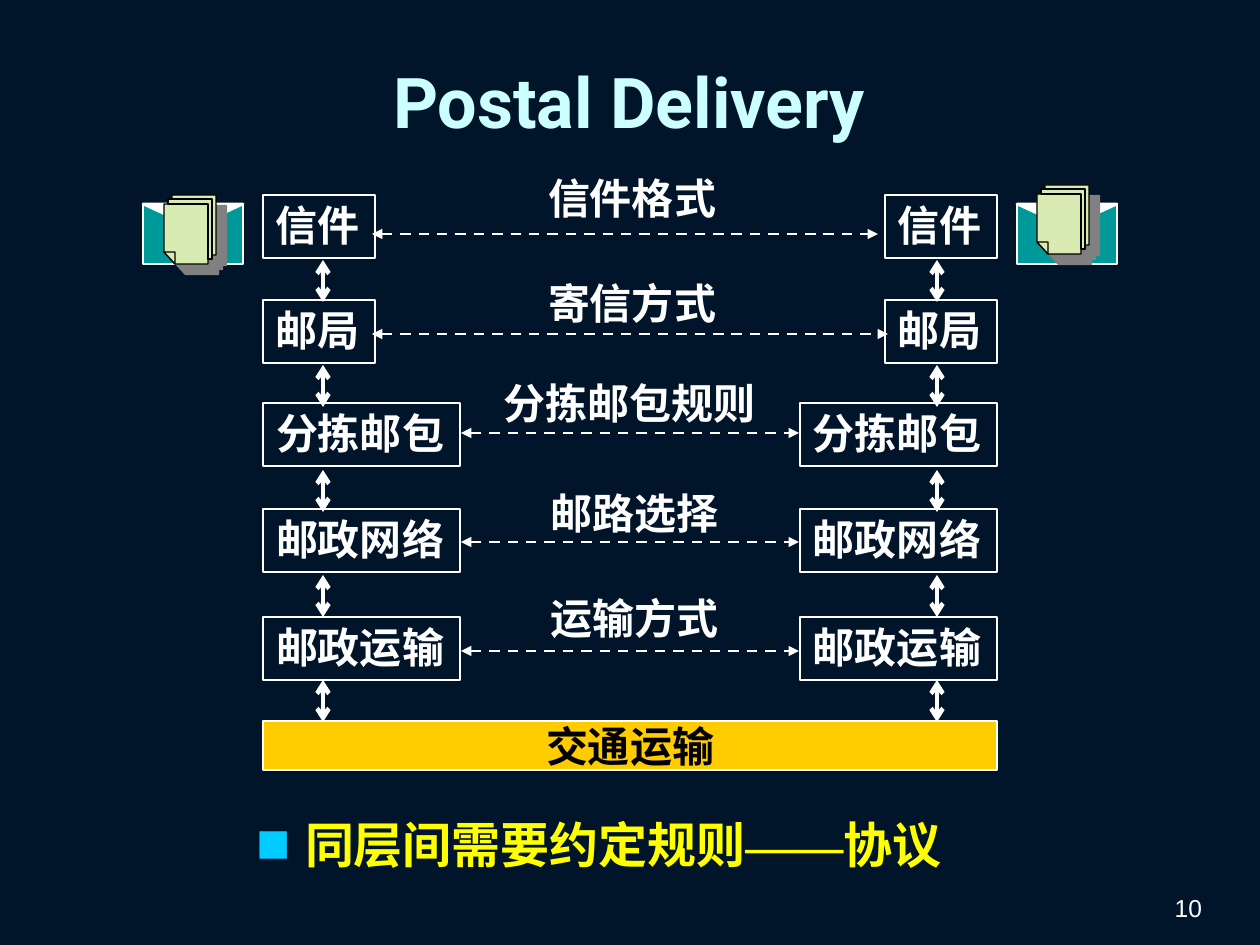
"""Build the Postal Delivery slide: matching layers of two post offices and the rules between them."""
from dataclasses import dataclass

from lxml.etree import SubElement
from pptx import Presentation
from pptx.dml.color import RGBColor
from pptx.enum.dml import MSO_LINE
from pptx.enum.shapes import MSO_CONNECTOR, MSO_SHAPE
from pptx.enum.text import MSO_ANCHOR, MSO_AUTO_SIZE, PP_ALIGN
from pptx.oxml.ns import qn
from pptx.util import Emu, Pt


@dataclass(frozen=True)
class Theme:
    night: str = "00152A"
    white: str = "FFFFFF"
    black: str = "000000"
    ice: str = "CCFFFF"
    gold: str = "FFCC00"
    yellow: str = "FFFF00"
    cyan: str = "00CCFF"
    teal: str = "009999"
    paper: str = "D8EBB3"
    gray: str = "808080"
    serif: str = "Times New Roman"
    cjk: str = "Noto Sans CJK SC"
    title_size: int = 40
    rule_size: int = 28
    label_size: int = 24
    number_size: int = 14


T = Theme()
EMU_PER_PX = 914400 / 126

TITLE = "Postal Delivery"
PAGE_NUMBER = "10"
TRANSPORT = "交通运输"
RULE = [("同层间需要约定规则", T.cjk), ("——", T.serif), ("协议", T.cjk)]
LAYERS = [
    ("信件", 195, "信件格式", (535, 168), 234, (372, 878)),
    ("邮局", 300, "寄信方式", (535, 273), 334, (372, 888)),
    ("分拣邮包", 403, "分拣邮包规则", (491, 373), 433, (461, 799)),
    ("邮政网络", 509, "邮路选择", (538, 483), 542, (461, 799)),
    ("邮政运输", 617, "运输方式", (538, 588), 651, (461, 799)),
]
LEFT_EDGE, RIGHT_EDGE, LAYER_HEIGHT = 263, 997, 63
LINK_COLUMNS, LINK_TOP, LINK_STEP, LINK_LENGTH = (323, 937), 260, 105, 42
LETTERS = [((143, 204), (164, 195)), ((1017, 204), (1037, 185))]
PAGE_STACK = [
    [(0, 57), (0, 9), (4, 9), (4, 4), (8, 4), (8, 0), (52, 0), (52, 60),
     (48, 60), (48, 64), (44, 64), (44, 69), (11, 69)],
    [(8, 4), (48, 4), (48, 64), (44, 64), (44, 9), (4, 9), (4, 4)],
    [(0, 57), (11, 57), (11, 69)],
]


def px(*lengths):
    return [Emu(round(length * EMU_PER_PX)) for length in lengths]


def rgb(color):
    return RGBColor.from_string(color)


def add_run(paragraph, text, size, color, latin=T.serif, asian=T.cjk, bold=True):
    run = paragraph.add_run()
    run.text = text
    font = run.font
    font.name, font.size, font.bold = latin, Pt(size), bold
    font.color.rgb = rgb(color)
    SubElement(font._element, qn("a:ea"), typeface=asian)


def set_frame(frame, anchor=MSO_ANCHOR.TOP, align=PP_ALIGN.LEFT, wrap=False, insets=(13, 5)):
    frame.word_wrap = wrap
    frame.auto_size = MSO_AUTO_SIZE.NONE
    frame.vertical_anchor = anchor
    side, end = px(*insets)
    frame.margin_left = frame.margin_right = side
    frame.margin_top = frame.margin_bottom = end
    paragraph = frame.paragraphs[0]
    paragraph.alignment = align
    return paragraph


def add_text(slide, box, **layout):
    return set_frame(slide.shapes.add_textbox(*px(*box)).text_frame, **layout)


def paint(shape, fill, line, width):
    shape.shadow.inherit = False
    if fill:
        shape.fill.solid()
        shape.fill.fore_color.rgb = rgb(fill)
    else:
        shape.fill.background()
    shape.line.color.rgb = rgb(line)
    shape.line.width = Pt(width)
    return shape


def add_box(slide, box, fill=None, kind=MSO_SHAPE.RECTANGLE):
    return paint(slide.shapes.add_shape(kind, *px(*box)), fill, T.white, 1.5)


def add_arrow(slide, start, end, width, head, dashed=False):
    arrow = slide.shapes.add_connector(MSO_CONNECTOR.STRAIGHT, *px(*start, *end))
    arrow.line.color.rgb = rgb(T.white)
    arrow.line.width = Pt(width)
    if dashed:
        arrow.line.dash_style = MSO_LINE.DASH
    properties = arrow._element.spPr
    line = properties.find(qn("a:ln"))
    for tip in ("a:headEnd", "a:tailEnd"):
        SubElement(line, qn(tip), type=head)
    SubElement(properties, qn("a:effectLst"))


def add_layer(slide, layer):
    name, top, rule, rule_at, arrow_y, (arrow_left, arrow_right) = layer
    width = 112 if len(name) == 2 else 197
    for left in (LEFT_EDGE, RIGHT_EDGE - width):
        box = add_box(slide, (left, top, width, LAYER_HEIGHT))
        add_run(set_frame(box.text_frame), name, T.label_size, T.white)
    label = add_text(slide, (*rule_at, 26 + 42 * len(rule), 60))
    add_run(label, rule, T.label_size, T.white)
    add_arrow(slide, (arrow_left, arrow_y), (arrow_right, arrow_y), 1.5, "triangle", dashed=True)


def add_shadow(shape):
    effects = shape._element.spPr.find(qn("a:effectLst"))
    shadow = SubElement(effects, qn("a:outerShdw"), dist=str(Pt(8.5)), dir="2700000", algn="ctr")
    SubElement(shadow, qn("a:srgbClr"), val=T.gray)


def add_letter(slide, envelope_at, pages_at):
    add_box(slide, (*envelope_at, 100, 60), T.teal)
    flap = add_box(slide, (*envelope_at, 100, 23), T.white, MSO_SHAPE.ISOSCELES_TRIANGLE)
    flap.rotation = 180
    pages = []
    for start, *others in PAGE_STACK:
        outline = slide.shapes.build_freeform(*start, scale=EMU_PER_PX)
        outline.add_line_segments(others, close=True)
        pages.append(paint(outline.convert_to_shape(*px(*pages_at)), T.paper, T.black, 0.75))
    add_shadow(pages[0])


def add_rule(slide):
    paragraph = add_text(slide, (243, 808, 714, 72), insets=(13, 6))
    properties = paragraph._p.get_or_add_pPr()
    indent = px(49)[0]
    properties.set("marL", str(indent))
    properties.set("indent", str(-indent))
    bullet_color = SubElement(properties, qn("a:buClr"))
    SubElement(bullet_color, qn("a:srgbClr"), val=T.cyan)
    SubElement(properties, qn("a:buSzPct"), val="70000")
    SubElement(properties, qn("a:buFont"), typeface=T.cjk)
    SubElement(properties, qn("a:buChar"), char="■")
    for text, face in RULE:
        add_run(paragraph, text, T.rule_size, T.yellow, face, face)


def main():
    deck = Presentation()
    deck.slide_width, deck.slide_height = px(1260, 945)
    slide = deck.slides.add_slide(deck.slide_layouts[6])
    slide.background.fill.solid()
    slide.background.fill.fore_color.rgb = rgb(T.night)

    number = add_text(slide, (921, 869, 294, 59), anchor=MSO_ANCHOR.BOTTOM,
                      align=PP_ALIGN.RIGHT, wrap=True, insets=(13, 6))
    add_run(number, PAGE_NUMBER, T.number_size, T.white, "Arial", bold=False)
    title = add_text(slide, (44, 16, 1170, 169), anchor=MSO_ANCHOR.MIDDLE,
                     align=PP_ALIGN.CENTER, wrap=True, insets=(13, 6))
    add_run(title, TITLE, T.title_size, T.ice, "Roboto")

    for layer in LAYERS:
        add_layer(slide, layer)
    road = add_box(slide, (LEFT_EDGE, 721, RIGHT_EDGE - LEFT_EDGE, 49), T.gold)
    road_text = set_frame(road.text_frame, MSO_ANCHOR.MIDDLE, PP_ALIGN.CENTER)
    add_run(road_text, TRANSPORT, T.label_size, T.black)
    for x in LINK_COLUMNS:
        for step in range(len(LAYERS)):
            top = LINK_TOP + step * LINK_STEP
            add_arrow(slide, (x, top), (x, top + LINK_LENGTH), 2.5, "arrow")

    add_rule(slide)
    for envelope_at, pages_at in LETTERS:
        add_letter(slide, envelope_at, pages_at)
    deck.save("out.pptx")


if __name__ == "__main__":
    main()
